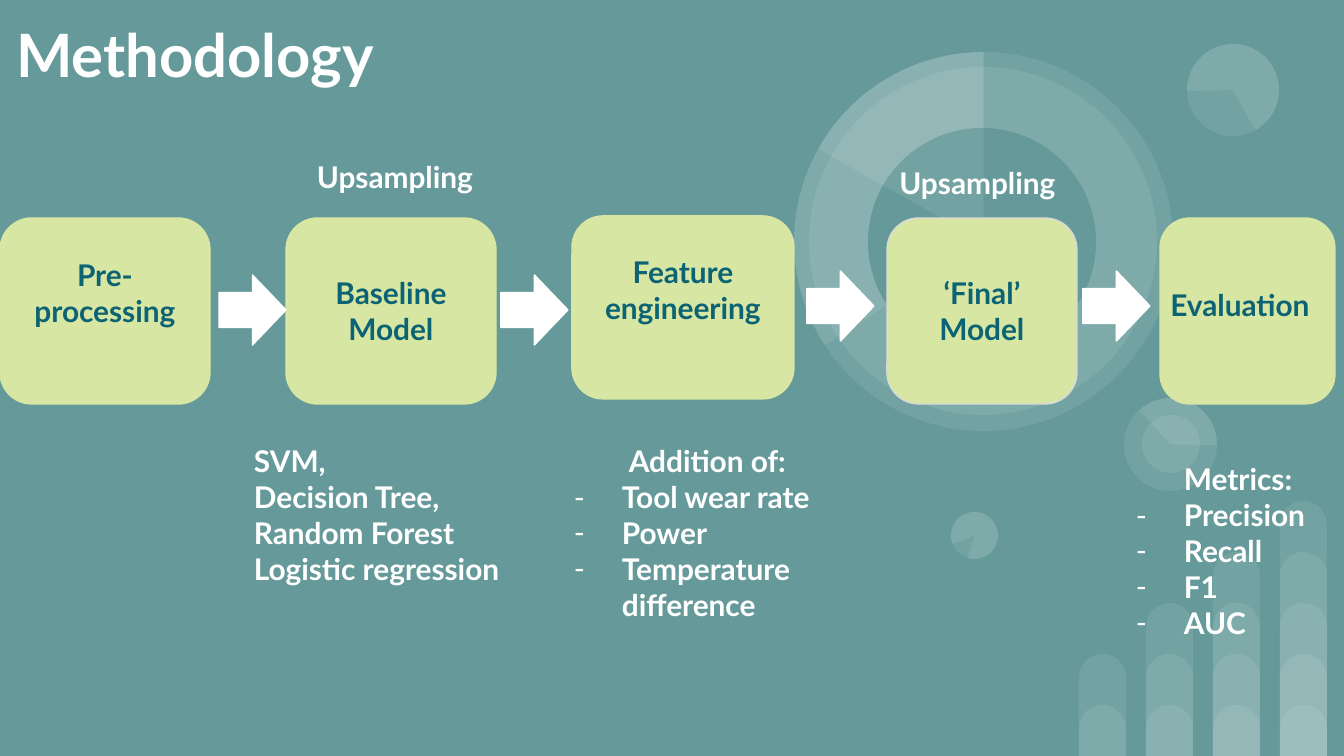
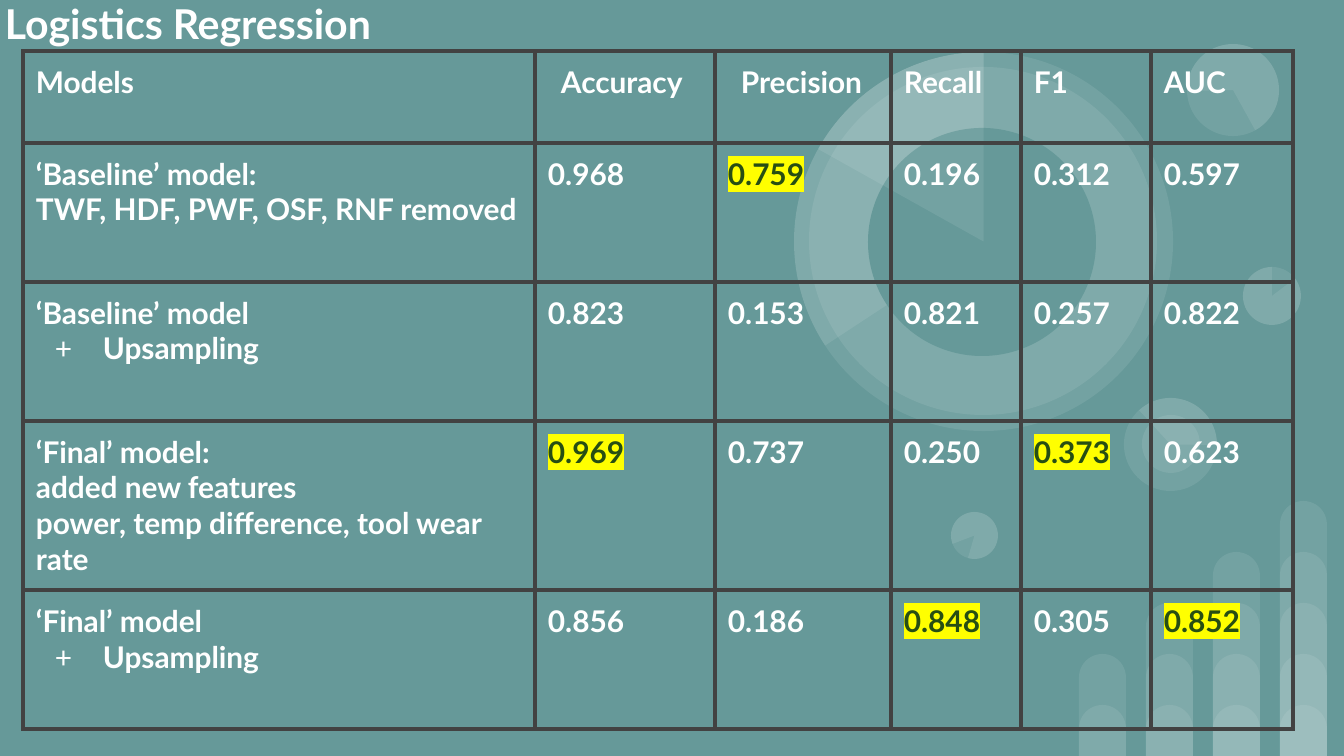
from dataclasses import dataclass

from lxml.etree import SubElement
from pptx import Presentation
from pptx.dml.color import RGBColor
from pptx.enum.shapes import MSO_SHAPE
from pptx.enum.text import MSO_ANCHOR, PP_ALIGN
from pptx.oxml.ns import qn
from pptx.util import Pt


@dataclass(frozen=True)
class Theme:
    font: str = "Lato"
    back: str = "669999"
    white: str = "FFFFFF"
    box: str = "D7E6A3"
    box_edge: str = "D9D9D9"
    box_text: str = "0B6374"
    grid: str = "424242"
    mark: str = "FFFF00"
    mark_text: str = "274E13"
    veil: int = 9        # percent opacity of the decoration
    body: int = 16
    title: int = 32
    small_title: int = 22
    edge: float = 0.75
    grid_width: float = 2.25


@dataclass(frozen=True)
class Line:
    text: str
    bullet: str = ""
    indent: bool = False
    center: bool = False


T = Theme()
WIDTH, HEIGHT = 1344, 756
INSET = 13
LINE_HEIGHT = 36
MARGIN, HANG = 67, 48


def px(n):
    return round(n * 914400 / 134.4)


def bullets(mark, *texts):
    return [Line(text, bullet=mark) for text in texts]


def centered(*texts):
    return [Line(text, center=True) for text in texts]


# ---- Content: decoration ----
# Circles: left, top, diameter, and for a pie its rotation, start and end angle
SMALL_DISC = [(1243, 267, 58), (1243, 267, 58, 0, 322.9, 270)]
DISCS = [
    (951, 512, 47),
    (1124, 398, 93),
    (1124, 398, 93, 90, 137.4, 270.8),
    (1142, 415, 58),
    (1187, 44, 92),
    (1187, 44, 92, 215.9, 322.9, 205.2),
    (794, 52, 379),
    (809, 67, 348),
    (794, 52, 379, 0, 146.7, 270),
]
RING_HOLE = (868, 128, 228)
DISCS_OVER_HOLE = [
    (794, 52, 379, 0, 209.2, 270),
    (951, 512, 47, 196.2, 322.9, 270),
]
BAR_COLUMNS, BAR_LEFT, BAR_PITCH, BAR_WIDTH, BAR_STEP = 4, 1079, 67, 47, 51

# ---- Content: methodology ----
# Steps: box, edge colour, lines, number of lines kept free below the text
STEPS = [
    ((0, 218, 210, 186), T.box, centered("Pre-", "processing"), 1),
    ((286, 218, 210, 186), T.box, centered("Baseline", "Model"), 0),
    ((572, 216, 222, 183), T.box, centered("Feature engineering"), 1),
    ((887, 218, 190, 186), T.box_edge, centered("‘Final’", "Model"), 0),
    ((1160, 218, 175, 186), T.box, [], 0),
]
ARROWS = [(219, 275), (501, 275), (807, 271), (1083, 271)]
ARROW_SIZE = (67, 70)
NOTES = [
    ((304, 146, 223, 63), T.white, [Line("Upsampling")]),
    ((852, 152, 251, 63), T.white, centered("Upsampling")),
    ((1150, 274, 180, 63), T.box_text, centered("Evaluation")),
    ((241, 430, 314, 172), T.white,
     [Line("SVM,"), Line("Decision Tree,"), Line("Random Forest"),
      Line("Logistic regression")]),
    ((542, 430, 331, 208), T.white,
     centered("Addition of:")
     + bullets("-", "Tool wear rate", "Power", "Temperature difference")),
    ((1104, 448, 247, 208), T.white,
     [Line("Metrics:", indent=True)]
     + bullets("-", "Precision", "Recall", "F1", "AUC")),
]

# ---- Content: results ----
HEADER = ["Models", "Accuracy", "Precision", "Recall", "F1", "AUC"]
WIDE_INSET_HEADS = ("Accuracy", "Precision")
RESULTS = [
    ([Line("‘Baseline’ model:"), Line("TWF, HDF, PWF, OSF, RNF removed")],
     ["0.968", "0.759", "0.196", "0.312", "0.597"]),
    ([Line("‘Baseline’ model")] + bullets("+", "Upsampling"),
     ["0.823", "0.153", "0.821", "0.257", "0.822"]),
    ([Line("‘Final’ model:"), Line("added new features"),
      Line("power, temp difference, tool wear rate")],
     ["0.969", "0.737", "0.250", "0.373", "0.623"]),
    ([Line("‘Final’ model")] + bullets("+", "Upsampling"),
     ["0.856", "0.186", "0.848", "0.305", "0.852"]),
]
BEST = [max(column) for column in zip(*(values for _, values in RESULTS))]
TABLE_AT = (23, 51)
COLUMN_WIDTHS = [512, 180, 176, 130, 130, 142]
ROW_HEIGHTS = [92, 139, 139, 169, 139]


# ---- Helpers ----
def rgb(color):
    return RGBColor.from_string(color)


def add_color(parent, tag, color):
    el = SubElement(parent, qn(tag))
    SubElement(el, qn("a:srgbClr")).set("val", color)
    return el


def set_insets(obj, left=INSET, bottom=INSET):
    obj.margin_left, obj.margin_bottom = px(left), px(bottom)
    obj.margin_right = obj.margin_top = px(INSET)


def write(tf, lines, color, size=T.body, highlight=None):
    for i, line in enumerate(lines):
        p = tf.paragraphs[0] if i == 0 else tf.add_paragraph()
        p.alignment = PP_ALIGN.CENTER if line.center else PP_ALIGN.LEFT
        pPr = p._p.get_or_add_pPr()
        if line.bullet or line.indent:
            pPr.set("marL", str(px(MARGIN)))
            pPr.set("indent", str(px(-HANG) if line.bullet else 0))
        if line.bullet:
            add_color(pPr, "a:buClr", color)
            SubElement(pPr, qn("a:buFont")).set("typeface", T.font)
            SubElement(pPr, qn("a:buChar")).set("char", line.bullet)
        r = p.add_run()
        r.text = line.text
        r.font.size, r.font.bold = Pt(size), True
        r.font.color.rgb = rgb(color)
        if highlight:
            add_color(r._r.rPr, "a:highlight", highlight)
        r.font.name = T.font


def add_text(slide, box, lines, color, size=T.body, anchor=MSO_ANCHOR.TOP):
    tf = slide.shapes.add_textbox(*map(px, box)).text_frame
    tf.word_wrap = True
    tf.vertical_anchor = anchor
    set_insets(tf)
    write(tf, lines, color, size)


def add_shape(slide, kind, box, fill, edge=None, alpha=None):
    sp = slide.shapes.add_shape(kind, *map(px, box))
    sp.shadow.inherit = False
    sp.fill.solid()
    sp.fill.fore_color.rgb = rgb(fill)
    if alpha:
        clr = sp._element.spPr.find(qn("a:solidFill"))[0]
        SubElement(clr, qn("a:alpha")).set("val", str(alpha * 1000))
    if edge:
        sp.line.color.rgb = rgb(edge)
        sp.line.width = Pt(T.edge)
    else:
        sp.line.fill.background()
    return sp


def add_disc(slide, left, top, size, rotation=0, start=None, end=None):
    kind = MSO_SHAPE.OVAL if start is None else MSO_SHAPE.PIE
    sp = add_shape(slide, kind, (left, top, size, size), T.white, alpha=T.veil)
    sp.rotation = rotation
    if start is not None:
        # Angles are stored in 60000ths of a degree, adjustments in 100000ths
        sp.adjustments[0], sp.adjustments[1] = start * 0.6, end * 0.6


def add_backdrop(slide, discs):
    slide.background.fill.solid()
    slide.background.fill.fore_color.rgb = rgb(T.back)
    for column in range(BAR_COLUMNS):
        for level in range(1, column + 3):
            height = level * BAR_STEP
            box = (BAR_LEFT + column * BAR_PITCH, HEIGHT - height, BAR_WIDTH, height)
            sp = add_shape(slide, MSO_SHAPE.ROUND_2_SAME_RECTANGLE, box,
                           T.white, alpha=T.veil)
            sp.adjustments[0], sp.adjustments[1] = 0.5, 0
    for disc in discs:
        add_disc(slide, *disc)
    left, top, size = RING_HOLE
    add_shape(slide, MSO_SHAPE.OVAL, (left, top, size, size), T.back)
    for disc in DISCS_OVER_HOLE:
        add_disc(slide, *disc)


def new_slide(prs, title, box, size, discs):
    slide = prs.slides.add_slide(prs.slide_layouts[6])
    add_backdrop(slide, discs)
    add_text(slide, box, [Line(title)], T.white, size, MSO_ANCHOR.MIDDLE)
    return slide


def style_cell(cell, lines, left=INSET, best=False):
    cell.fill.background()
    set_insets(cell, left=left)
    write(cell.text_frame, lines, T.mark_text if best else T.white,
          highlight=T.mark if best else None)
    tcPr = cell._tc.get_or_add_tcPr()
    for i, side in enumerate(("a:lnL", "a:lnR", "a:lnT", "a:lnB")):
        ln = tcPr.makeelement(qn(side), {"w": str(Pt(T.grid_width))})
        add_color(ln, "a:solidFill", T.grid)
        tcPr.insert(i, ln)


# ---- Slides ----
def build_methodology(prs):
    slide = new_slide(prs, "Methodology", (3, 7, 1247, 94), T.title, DISCS)
    for box, edge, lines, free_lines in STEPS:
        sp = add_shape(slide, MSO_SHAPE.ROUNDED_RECTANGLE, box, T.box, edge)
        sp.adjustments[0] = 0.17
        tf = sp.text_frame
        tf.word_wrap = True
        tf.vertical_anchor = MSO_ANCHOR.MIDDLE
        set_insets(tf, bottom=INSET + free_lines * LINE_HEIGHT)
        write(tf, lines, T.box_text)
    for at in ARROWS:
        add_shape(slide, MSO_SHAPE.RIGHT_ARROW, at + ARROW_SIZE, T.white, T.white)
    for box, color, lines in NOTES:
        add_text(slide, box, lines, color)


def build_results(prs):
    slide = new_slide(prs, "Logistics Regression", (-8, -9, 625, 65),
                      T.small_title, SMALL_DISC + DISCS)
    size = (sum(COLUMN_WIDTHS), sum(ROW_HEIGHTS))
    table = slide.shapes.add_table(len(ROW_HEIGHTS), len(COLUMN_WIDTHS),
                                   *map(px, TABLE_AT + size)).table
    table.first_row = table.horz_banding = False
    for column, width in zip(table.columns, COLUMN_WIDTHS):
        column.width = px(width)
    for row, height in zip(table.rows, ROW_HEIGHTS):
        row.height = px(height)
    for c, head in enumerate(HEADER):
        left = 2 * INSET if head in WIDE_INSET_HEADS else INSET
        style_cell(table.cell(0, c), [Line(head)], left)
    for r, (model, values) in enumerate(RESULTS, 1):
        style_cell(table.cell(r, 0), model)
        for c, (value, best) in enumerate(zip(values, BEST), 1):
            style_cell(table.cell(r, c), [Line(value)], best=value == best)


def main():
    prs = Presentation()
    prs.slide_width, prs.slide_height = px(WIDTH), px(HEIGHT)
    build_methodology(prs)
    build_results(prs)
    prs.save("out.pptx")


if __name__ == "__main__":
    main()
